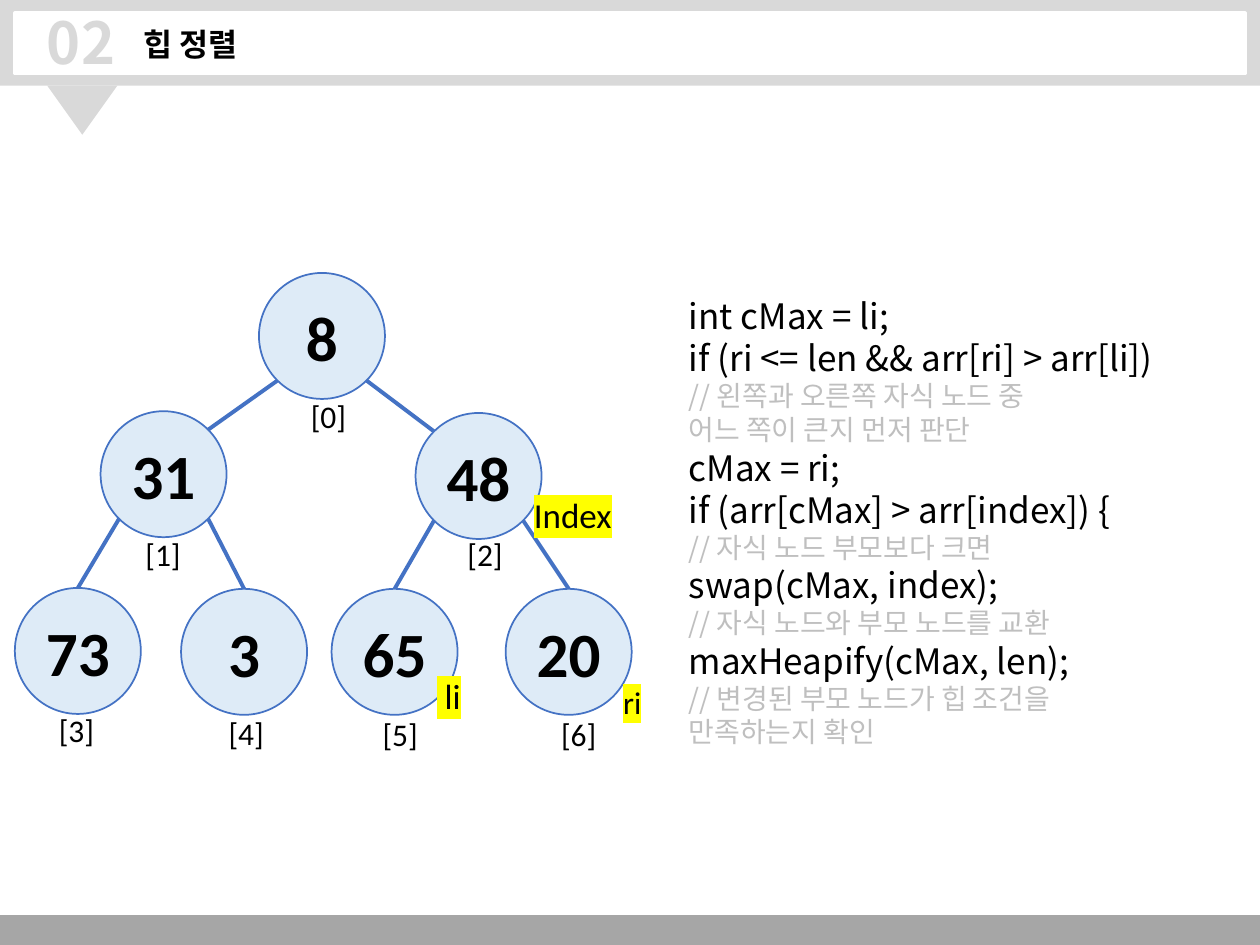
import pptx
import pptx.util
import pptx.dml.color
import pptx.enum.shapes
import pptx.enum.text
import lxml.etree

Pt = pptx.util.Pt
KIND = pptx.enum.shapes.MSO_SHAPE
ALIGN = pptx.enum.text.PP_ALIGN
ANCHOR = pptx.enum.text.MSO_ANCHOR
NS = "{http://schemas.openxmlformats.org/drawingml/2006/main}"
SANS, NOTO = "Calibri", "Noto Sans CJK KR"
BLUE, GREY = "4472C4", "D9D9D9"
SIZE = 72  # node diameter


def tint(hue):
    return pptx.dml.color.RGBColor.from_string(hue)


def style(run, size, face, hue="000000", bold=False, mark=None):
    font = run.font
    font.size, font.name, font.bold = Pt(size), face, bold
    font.color.rgb = tint(hue)
    props = run._r.get_or_add_rPr()
    if mark:
        light = lxml.etree.Element(NS + "highlight")
        lxml.etree.SubElement(light, NS + "srgbClr", val=mark)
        props.find(NS + "latin").addprevious(light)
    east = lxml.etree.Element(NS + "ea", typeface=face)
    props.find(NS + "latin").addnext(east)


def shape(parts, kind, box, fill, line=None, width=1):
    item = parts.add_shape(kind, *map(Pt, box))
    item.shadow.inherit = False
    item.fill.solid()
    item.fill.fore_color.rgb = tint(fill)
    if line:
        item.line.color.rgb = tint(line)
        item.line.width = Pt(width)
    else:
        item.line.fill.background()
    return item


def label(parts, text, box, size, face, wrap=False, **look):
    item = parts.add_textbox(*map(Pt, box))
    frame = item.text_frame
    frame.text = text
    frame.word_wrap = wrap
    for para in frame.paragraphs:
        style(para.runs[0], size, face, **look)
    return item


def header(parts, box):
    left, top, wide, high = box
    shape(parts, KIND.RECTANGLE, box, GREY)
    flag = shape(parts, KIND.ISOSCELES_TRIANGLE,
                 (left + 27, top + high, 40, 28), GREY)
    flag.rotation = 180
    shape(parts, KIND.RECTANGLE, (left + 8.5, top + 7.5, wide - 17, high - 14.5),
          "FFFFFF", "FFFFFF", 2)
    label(parts, "힙 정렬", (left + 75, top + 10.5, 114, 29), 18, NOTO,
          wrap=True, bold=True)
    num = label(parts, "02", (left + 19.5, top + 0.5, 56, 47.5), 33, NOTO,
                hue=GREY, bold=True)
    num.text_frame.paragraphs[0].runs[0]._r.rPr.set("spc", "50")


def edge(parts, start, end):
    line = parts.add_connector(pptx.enum.shapes.MSO_CONNECTOR.STRAIGHT,
                               *map(Pt, start + end))
    line.line.color.rgb = tint(BLUE)
    line.line.width = Pt(2.25)
    lxml.etree.SubElement(line._element.spPr, NS + "effectLst")


def tree(parts, box):
    left, top = box[:2]
    # value, node corner, index label corner
    nodes = [("8", 139.5, 0, 162, 67.5), ("31", 49, 79, 67.5, 146),
             ("48", 229, 80, 251.5, 146), ("73", 0, 180, 18, 247),
             ("3", 95, 180.5, 115, 248.5), ("65", 181, 180.5, 203, 249),
             ("20", 280.5, 180.5, 305, 249)]
    near = SIZE * (1 - 0.5 ** 0.5) / 2
    far = SIZE - near

    # Edges: parent of node i is (i - 1) // 2
    for i in range(1, len(nodes)):
        px, py = nodes[(i - 1) // 2][1:3]
        x, y = nodes[i][1:3]
        odd = i % 2
        start = (left + px + (near if odd else far), top + py + far)
        if i < 3:
            end = (left + x + (far if odd else near), top + y + near)
        else:
            end = (left + x + SIZE / 2, top + y)
        edge(parts, start, end)

    # Nodes and their indices
    for i, (text, x, y, tx, ty) in enumerate(nodes):
        node = shape(parts, KIND.OVAL, (left + x, top + y, SIZE, SIZE),
                     "DEEBF7", BLUE)
        frame = node.text_frame
        frame.text = text
        frame.vertical_anchor = ANCHOR.MIDDLE
        frame.paragraphs[0].alignment = ALIGN.CENTER
        style(frame.paragraphs[0].runs[0], 36, SANS, bold=True)
        label(parts, f"[{i}]", (left + tx, top + ty, 34.5, 29), 18, SANS)

    # Highlighted variables
    for text, x, y, wide, size in [("Index", 289.5, 122.5, 63.5, 20),
                                   (" li", 234, 226, 33, 20),
                                   ("ri", 340.5, 230.5, 25, 18)]:
        label(parts, text, (left + x, top + y, wide, 31), size, SANS,
              mark="FFFF00")


def code(parts, box):
    lines = ["int cMax = li;", "if (ri <= len && arr[ri] > arr[li])",
             "// 왼쪽과 오른쪽 자식 노드 중", "어느 쪽이 큰지 먼저 판단",
             "cMax = ri;", "if (arr[cMax] > arr[index]) {",
             "// 자식 노드 부모보다 크면", "swap(cMax, index);",
             "// 자식 노드와 부모 노드를 교환", "maxHeapify(cMax, len);",
             "// 변경된 부모 노드가 힙 조건을", "만족하는지 확인"]
    item = label(parts, "\n".join(lines), box, 20, NOTO)
    for para in item.text_frame.paragraphs:
        if para.text.startswith("//") or para.text[0] >= "가":
            para.runs[0].font.size = Pt(16)
            para.runs[0].font.color.rgb = tint("BFBFBF")


def main():
    deck = pptx.Presentation()
    deck.slide_width, deck.slide_height = Pt(720), Pt(540)
    slide = deck.slides.add_slide(deck.slide_layouts[6])
    parts = slide.shapes
    shape(parts, KIND.RECTANGLE, (0, 523, 720, 17), "A6A6A6")
    header(parts, (0, 0, 720, 49))
    tree(parts.add_group_shape().shapes, (8.5, 156, 366, 278))
    code(parts, (386.5, 165, 307, 303))
    deck.save("out.pptx")


if __name__ == "__main__":
    main()
